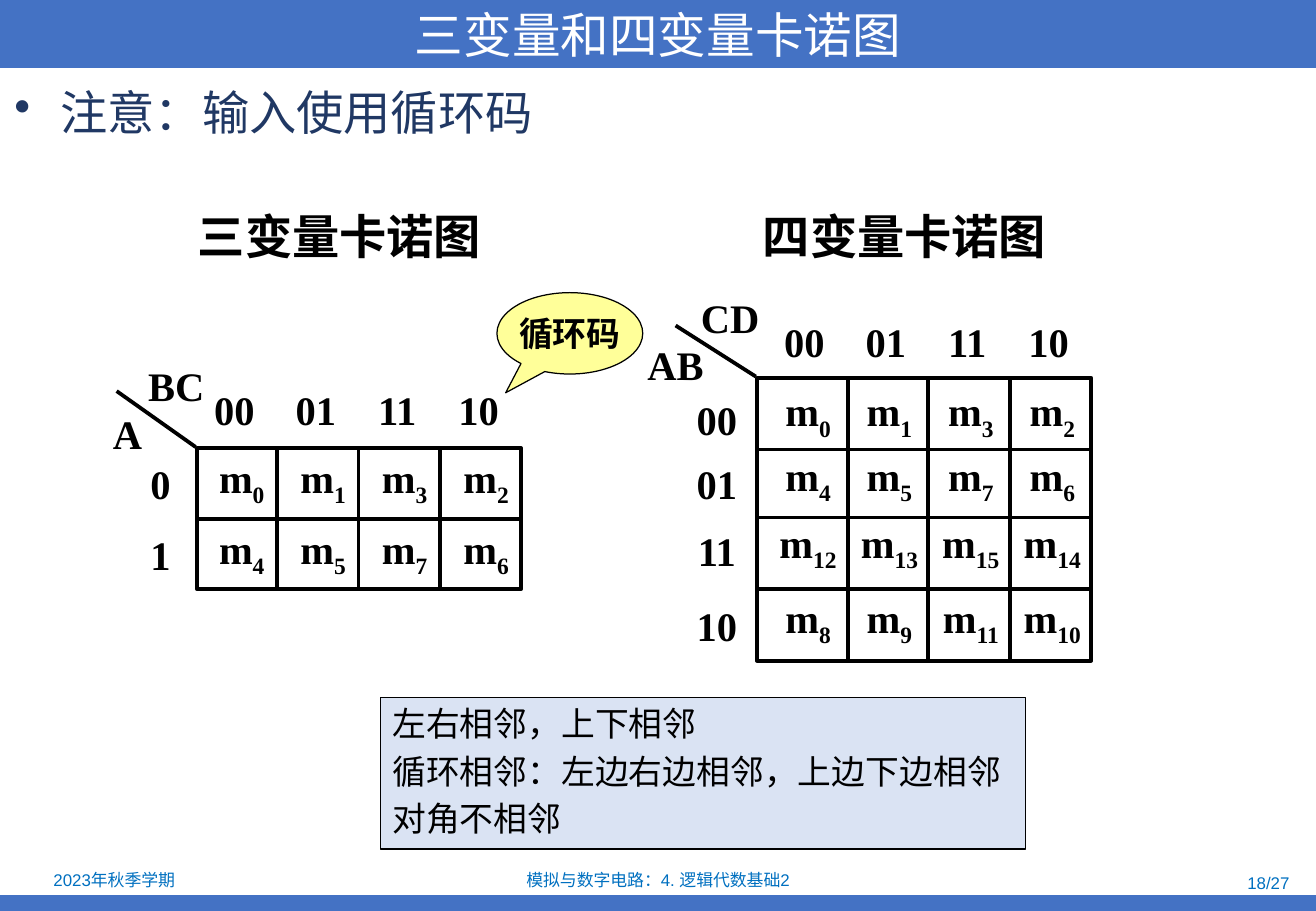
import dataclasses
import itertools
import typing

import lxml.etree
import pptx
import pptx.dml.color
import pptx.enum.shapes
import pptx.enum.text
import pptx.oxml.ns
import pptx.shapes.autoshape
import pptx.shapes.base
import pptx.util

EMU_PER_PX = 9144  # 100 px to the inch
ALIGN = pptx.enum.text.PP_ALIGN
ANCHOR = pptx.enum.text.MSO_ANCHOR
PRESET = pptx.enum.shapes.MSO_SHAPE


@dataclasses.dataclass(frozen=True)
class Theme:
    bar: str = "4472C4"
    on_bar: str = "FFFFFF"
    note: str = "203864"
    footer: str = "0070C0"
    ink: str = "000000"
    rules_fill: str = "DAE3F3"
    callout_fill: str = "FFFF99"
    sans: str = "Arial"
    serif: str = "Times New Roman"
    chinese: str = "Noto Sans CJK SC"
    title_pt: float = 28.8
    heading_pt: float = 28
    map_pt: float = 24
    body_pt: float = 20
    footer_pt: float = 10
    grid_pt: float = 2.25
    outline_pt: float = 0.75


THEME = Theme()


class Box(typing.NamedTuple):
    left: int
    top: int
    width: int
    height: int


class Style(typing.NamedTuple):
    size: float
    color: str = THEME.ink
    bold: bool = False
    font: str = THEME.sans
    align: typing.Any = ALIGN.LEFT
    anchor: typing.Any = ANCHOR.TOP
    wrap: bool = True


HEADING = Style(THEME.heading_pt, bold=True)
MAP_TEXT = Style(THEME.map_pt, bold=True, font=THEME.serif, align=ALIGN.CENTER,
                 anchor=ANCHOR.MIDDLE, wrap=False)
FOOTER = Style(THEME.footer_pt, THEME.footer, align=ALIGN.CENTER, anchor=ANCHOR.MIDDLE)


class Caption(typing.NamedTuple):
    text: str
    box: Box
    style: Style


class Variables(typing.NamedTuple):
    text: str
    x: int
    y: int


@dataclasses.dataclass(frozen=True)
class KarnaughMap:
    columns: tuple[int, ...]   # vertical grid lines
    rows: tuple[int, ...]      # horizontal grid lines
    row_bits: int
    cell_x: int                # centre of the first column's minterms
    cell_ys: tuple[int, ...]
    code_x: int                # centre of the first column code
    code_y: int
    row_code_x: int
    row_code_drop: int
    slash_start: tuple[int, int]
    variables: tuple[Variables, Variables]
    pitch: int = 67


MAPS = (
    KarnaughMap((162, 228, 295, 362, 429), (369, 427, 485), 1, 199, (396, 454),
                193, 337, 132, 2, (96, 322),
                (Variables("BC", 145, 317), Variables("A", 105, 357))),
    KarnaughMap((623, 698, 764, 831, 898), (311, 370, 426, 485, 544), 2, 665,
                (341, 394, 449, 511), 662, 281, 590, 4, (556, 268),
                (Variables("CD", 601, 261), Variables("AB", 556, 300))),
)

CAPTIONS = (
    Caption("三变量卡诺图", Box(153, 166, 268, 57), HEADING),
    Caption("四变量卡诺图", Box(618, 166, 278, 57), HEADING),
    Caption("2023年秋季学期", Box(2, 713, 184, 23), FOOTER),
    Caption("模拟与数字电路：4. 逻辑代数基础2", Box(370, 714, 343, 21), FOOTER),
    Caption("18/27", Box(818, 716, 253, 21), FOOTER._replace(align=ALIGN.RIGHT)),
)


def px(length: int) -> pptx.util.Emu:
    return pptx.util.Emu(length * EMU_PER_PX)


def rgb(color: str) -> pptx.dml.color.RGBColor:
    return pptx.dml.color.RGBColor.from_string(color)


def write(shape: pptx.shapes.base.BaseShape, text: str, style: Style) -> None:
    frame = shape.text_frame
    frame.text = text
    frame.word_wrap = style.wrap
    frame.auto_size = pptx.enum.text.MSO_AUTO_SIZE.NONE
    frame.vertical_anchor = style.anchor
    for paragraph in frame.paragraphs:
        paragraph.alignment = style.align
        for run in paragraph.runs:
            format_run(run, style)


def format_run(run: typing.Any, style: Style) -> None:
    run.font.size = pptx.util.Pt(style.size)
    run.font.bold = style.bold
    run.font.name = style.font
    run.font.color.rgb = rgb(style.color)
    east_asian = lxml.etree.SubElement(run.font._element, pptx.oxml.ns.qn("a:ea"))
    east_asian.set("typeface", THEME.chinese)


def add_text(shapes: typing.Any, text: str, box: Box, style: Style) -> typing.Any:
    written = shapes.add_textbox(*map(px, box))
    write(written, text, style)
    return written


def add_panel(shapes: typing.Any, preset: typing.Any, box: Box, fill: str | None,
              line_pt: float = 0) -> pptx.shapes.autoshape.Shape:
    panel = shapes.add_shape(preset, *map(px, box))
    panel.shadow.inherit = False
    if fill:
        panel.fill.solid()
        panel.fill.fore_color.rgb = rgb(fill)
    else:
        panel.fill.background()
    if line_pt:
        panel.line.color.rgb = rgb(THEME.ink)
        panel.line.width = pptx.util.Pt(line_pt)
    else:
        panel.line.fill.background()
    return panel


def add_line(shapes: typing.Any, start: tuple[int, int], end: tuple[int, int]) -> None:
    line = shapes.add_connector(pptx.enum.shapes.MSO_CONNECTOR.STRAIGHT,
                                *map(px, start + end))
    line.line.color.rgb = rgb(THEME.ink)
    line.line.width = pptx.util.Pt(THEME.grid_pt)
    lxml.etree.SubElement(line._element.spPr, pptx.oxml.ns.qn("a:effectLst"))


def add_map_label(shapes: typing.Any, text: str, x: int, y: int, subscript: str = "") -> None:
    width = 66
    label = add_text(shapes, text, Box(x - width // 2, y - 25, width, 50), MAP_TEXT)
    if subscript:
        index = label.text_frame.paragraphs[0].add_run()
        index.text = subscript
        format_run(index, MAP_TEXT)
        index.font._element.set("baseline", "-25000")


def gray(position: int) -> int:
    return position ^ (position >> 1)


def draw_map(shapes: typing.Any, kmap: KarnaughMap) -> None:
    left, right = kmap.columns[0], kmap.columns[-1]
    top, bottom = kmap.rows[0], kmap.rows[-1]

    # Grid and the diagonal between the variable names
    add_panel(shapes, PRESET.RECTANGLE, Box(left, top, right - left, bottom - top),
              None, THEME.grid_pt)
    for x in kmap.columns[1:-1]:
        add_line(shapes, (x, top), (x, bottom))
    for y in kmap.rows[1:-1]:
        add_line(shapes, (left, y), (right, y))
    add_line(shapes, kmap.slash_start, (left - 1, top - 1))
    for variables in kmap.variables:
        add_map_label(shapes, *variables)

    # Gray codes along both edges, minterms in the cells
    for column in range(4):
        add_map_label(shapes, f"{gray(column):02b}",
                      kmap.code_x + column * kmap.pitch, kmap.code_y)
    for row, y in enumerate(kmap.cell_ys):
        add_map_label(shapes, f"{gray(row):0{kmap.row_bits}b}",
                      kmap.row_code_x, y + kmap.row_code_drop)
    for (row, y), column in itertools.product(enumerate(kmap.cell_ys), range(4)):
        add_map_label(shapes, "m", kmap.cell_x + column * kmap.pitch, y,
                      str(4 * gray(row) + gray(column)))


def main() -> None:
    deck = pptx.Presentation()
    deck.slide_width, deck.slide_height = px(1083), px(750)
    slide = deck.slides.add_slide(deck.slide_layouts[5])
    shapes = slide.shapes

    # Title bar and bottom bar
    title = shapes.title
    title.left, title.top, title.width, title.height = map(px, Box(0, 0, 1083, 56))
    title.fill.solid()
    title.fill.fore_color.rgb = rgb(THEME.bar)
    write(title, "三变量和四变量卡诺图",
          Style(THEME.title_pt, THEME.on_bar, font=THEME.chinese,
                align=ALIGN.CENTER, anchor=ANCHOR.MIDDLE))
    add_panel(shapes, PRESET.RECTANGLE, Box(0, 737, 1083, 13), THEME.bar)

    # Bulleted note
    note = add_text(shapes, "注意：输入使用循环码", Box(2, 64, 1081, 57),
                    Style(THEME.heading_pt, THEME.note))
    bullet = note.text_frame.paragraphs[0]._p.get_or_add_pPr()
    bullet.set("marL", str(px(38)))
    bullet.set("indent", str(px(-38)))
    lxml.etree.SubElement(bullet, pptx.oxml.ns.qn("a:buChar")).set("char", "•")

    # Headings, footer and both maps
    for caption in CAPTIONS:
        add_text(shapes, *caption)
    for kmap in MAPS:
        draw_map(shapes.add_group_shape().shapes, kmap)

    # Adjacency rules
    rules = add_panel(shapes, PRESET.RECTANGLE, Box(313, 574, 531, 125),
                      THEME.rules_fill, THEME.outline_pt)
    write(rules, "左右相邻，上下相邻\n循环相邻：左边右边相邻，上边下边相邻\n对角不相邻",
          Style(THEME.body_pt))
    for rule in rules.text_frame.paragraphs:
        rule.space_after = pptx.util.Pt(4)

    # Callout on the column codes
    callout = add_panel(shapes, PRESET.OVAL_CALLOUT, Box(409, 241, 120, 67),
                        THEME.callout_fill, THEME.outline_pt)
    callout.adjustments[0], callout.adjustments[1] = -0.44, 0.73
    write(callout, "循环码", Style(THEME.body_pt, bold=True, align=ALIGN.CENTER,
                                anchor=ANCHOR.MIDDLE, wrap=False))

    deck.save("out.pptx")


if __name__ == "__main__":
    main()
